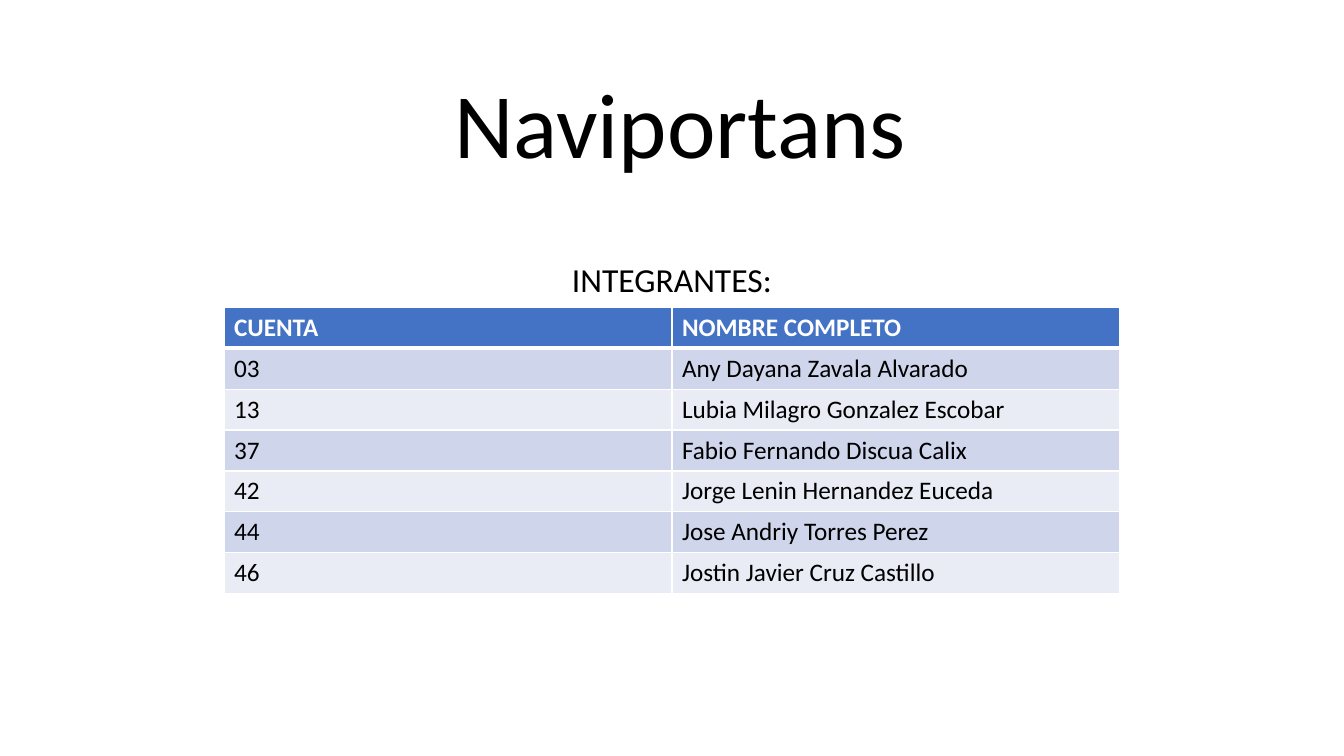
from dataclasses import dataclass

import pptx
import pptx.dml.color
import pptx.enum.text
import pptx.oxml
import pptx.oxml.ns
import pptx.slide
import pptx.table
import pptx.text.text
import pptx.util

Pt = pptx.util.Pt
ALIGN = pptx.enum.text.PP_ALIGN

FONT = "Calibri"
COLORS = {
    "text": "000000",
    "white": "FFFFFF",
    "header": "4472C4",
    "odd_row": "CFD5EA",
    "even_row": "E9EBF5",
}


@dataclass
class Heading:
    text: str
    left: float
    top: float
    width: float
    height: float
    size: float


@dataclass
class Member:
    account: str
    full_name: str


HEADINGS = [
    Heading("Naviportans", 172, 52.6, 628, 80, 65.7),
    Heading("INTEGRANTES:", 120, 184.3, 720, 130, 24),
]
MEMBERS = [
    Member("03", "Any Dayana Zavala Alvarado"),
    Member("13", "Lubia Milagro Gonzalez Escobar"),
    Member("37", "Fabio Fernando Discua Calix"),
    Member("42", "Jorge Lenin Hernandez Euceda"),
    Member("44", "Jose Andriy Torres Perez"),
    Member("46", "Jostin Javier Cruz Castillo"),
]
TABLE_LEFT, TABLE_TOP = 160, 219.6
COLUMN_WIDTH, ROW_HEIGHT = 320, 29.2


def rgb(name: str) -> pptx.dml.color.RGBColor:
    return pptx.dml.color.RGBColor.from_string(COLORS[name])


def write_text(paragraph: pptx.text.text._Paragraph, text: str, size: float,
               color: str = "text", bold: bool = False) -> None:
    run = paragraph.add_run()
    run.text = text
    font_format = {"name": FONT, "size": Pt(size), "bold": bold}
    for attribute, value in font_format.items():
        setattr(run.font, attribute, value)
    run.font.color.rgb = rgb(color)


def draw_heading(slide: pptx.slide.Slide, heading: Heading) -> None:
    shape = slide.shapes.add_textbox(Pt(heading.left), Pt(heading.top),
                                     Pt(heading.width), Pt(heading.height))
    shape.text_frame.word_wrap = True
    paragraph = shape.text_frame.paragraphs[0]
    paragraph_format = {"alignment": ALIGN.CENTER, "line_spacing": 0.9}
    for attribute, value in paragraph_format.items():
        setattr(paragraph, attribute, value)
    write_text(paragraph, heading.text, heading.size)


def set_borders(cell: pptx.table._Cell, widths: dict[str, float]) -> None:
    properties = cell._tc.get_or_add_tcPr()
    for side, width in widths.items():
        properties.append(pptx.oxml.parse_xml(
            f'<a:ln{side} {pptx.oxml.ns.nsdecls("a")} w="{Pt(width)}"><a:solidFill>'
            f'<a:srgbClr val="{COLORS["white"]}"/></a:solidFill></a:ln{side}>'))


def draw_cell(cell: pptx.table._Cell, text: str, row: int) -> None:
    is_header = row == 0
    set_borders(cell, {"L": 1, "R": 1, "T": 3 if row == 1 else 1,
                       "B": 3 if is_header else 1})
    fill = "header" if is_header else "odd_row" if row % 2 else "even_row"
    cell.fill.solid()
    cell.fill.fore_color.rgb = rgb(fill)
    write_text(cell.text_frame.paragraphs[0], text, 18,
               "white" if is_header else "text", is_header)


def draw_members(slide: pptx.slide.Slide, members: list[Member]) -> None:
    rows = [("CUENTA", "NOMBRE COMPLETO")]
    rows += [(member.account, member.full_name) for member in members]
    table = slide.shapes.add_table(
        len(rows), 2, Pt(TABLE_LEFT), Pt(TABLE_TOP),
        Pt(2 * COLUMN_WIDTH), Pt(len(rows) * ROW_HEIGHT)).table
    for row, texts in enumerate(rows):
        for column, text in enumerate(texts):
            draw_cell(table.cell(row, column), text, row)


# Presentation with one blank slide
presentation = pptx.Presentation()
presentation.slide_width, presentation.slide_height = Pt(960), Pt(540)
slide = presentation.slides.add_slide(presentation.slide_layouts[6])

# Title and subtitle
for heading in HEADINGS:
    draw_heading(slide, heading)

# Table of team members
draw_members(slide, MEMBERS)

presentation.save("out.pptx")
